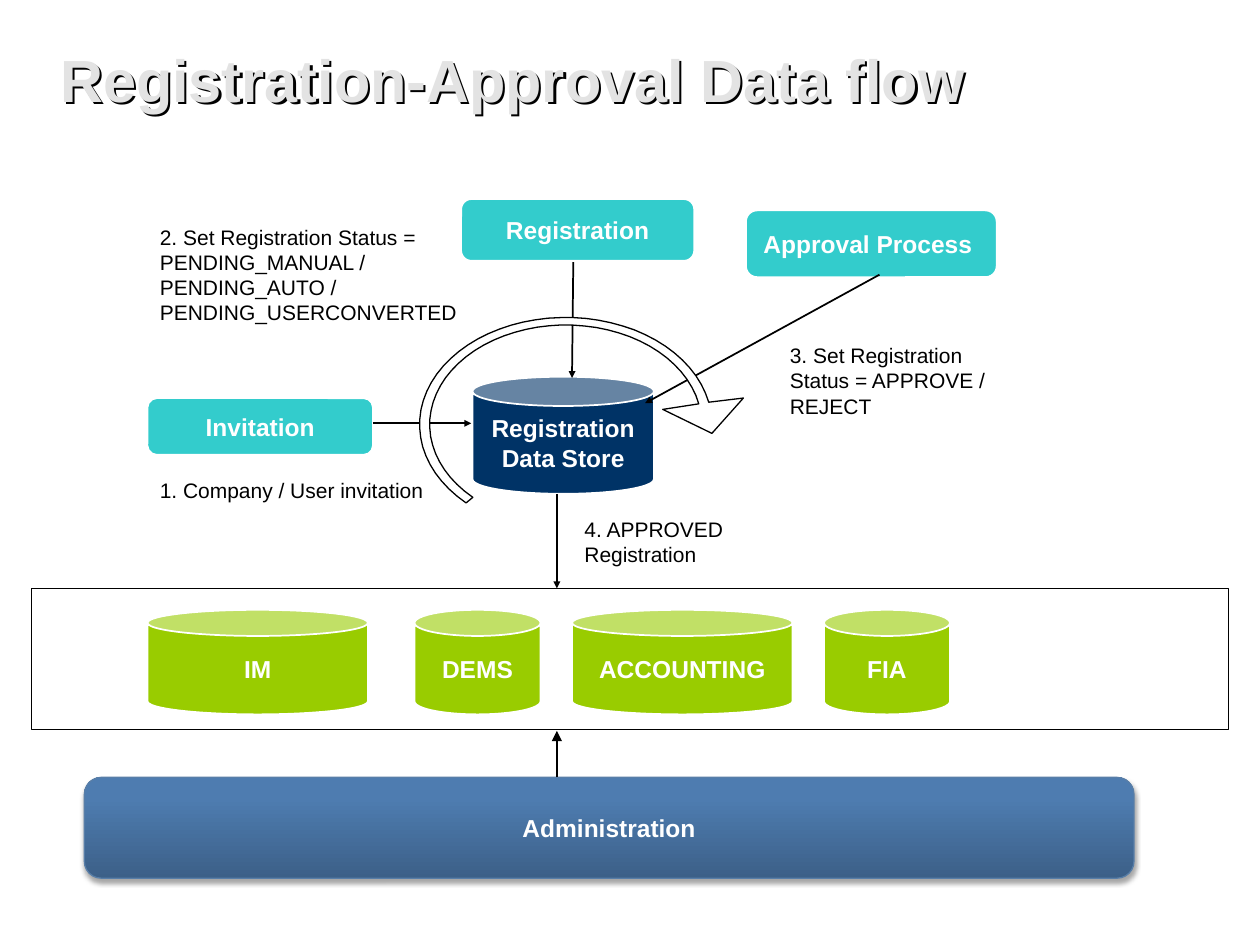
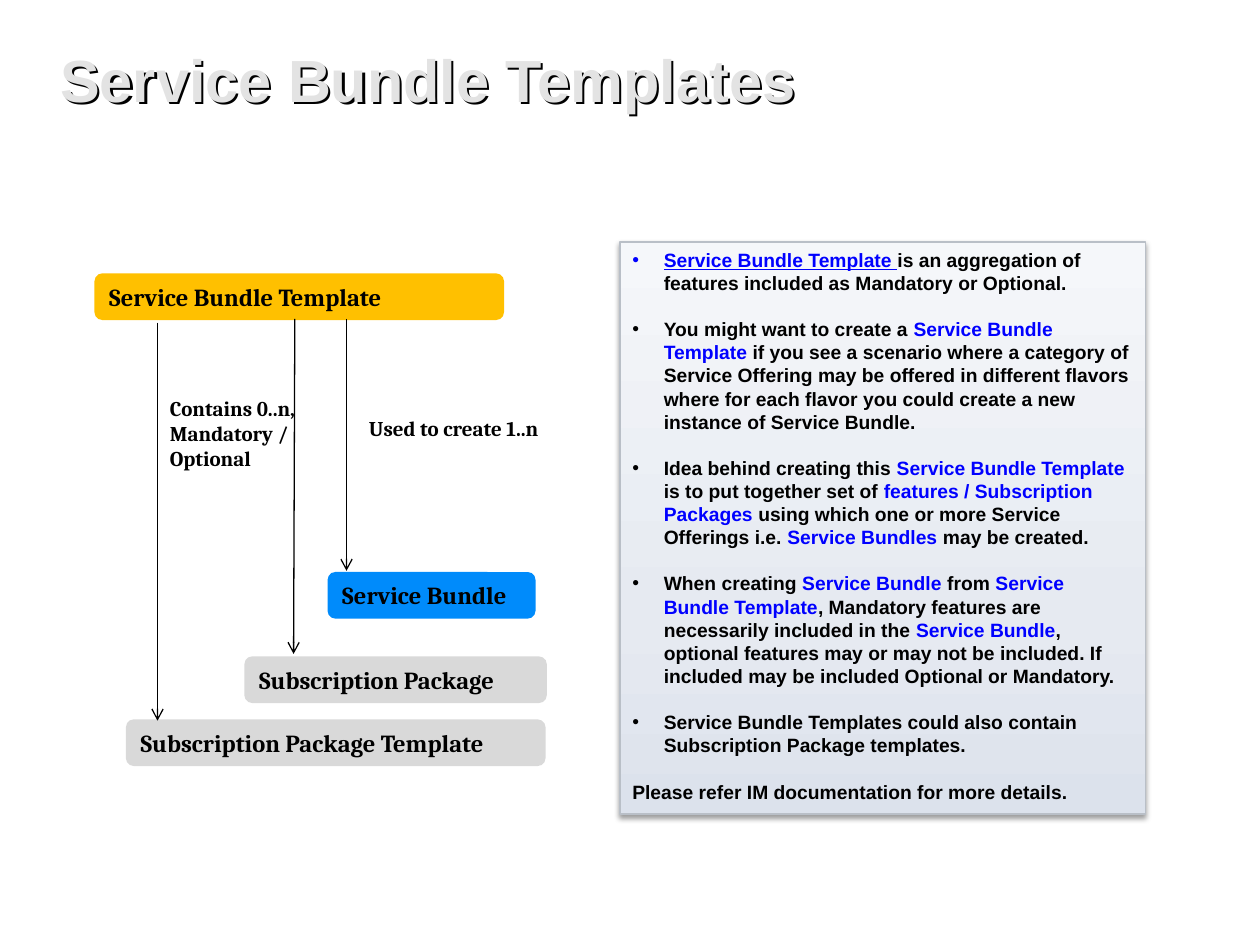
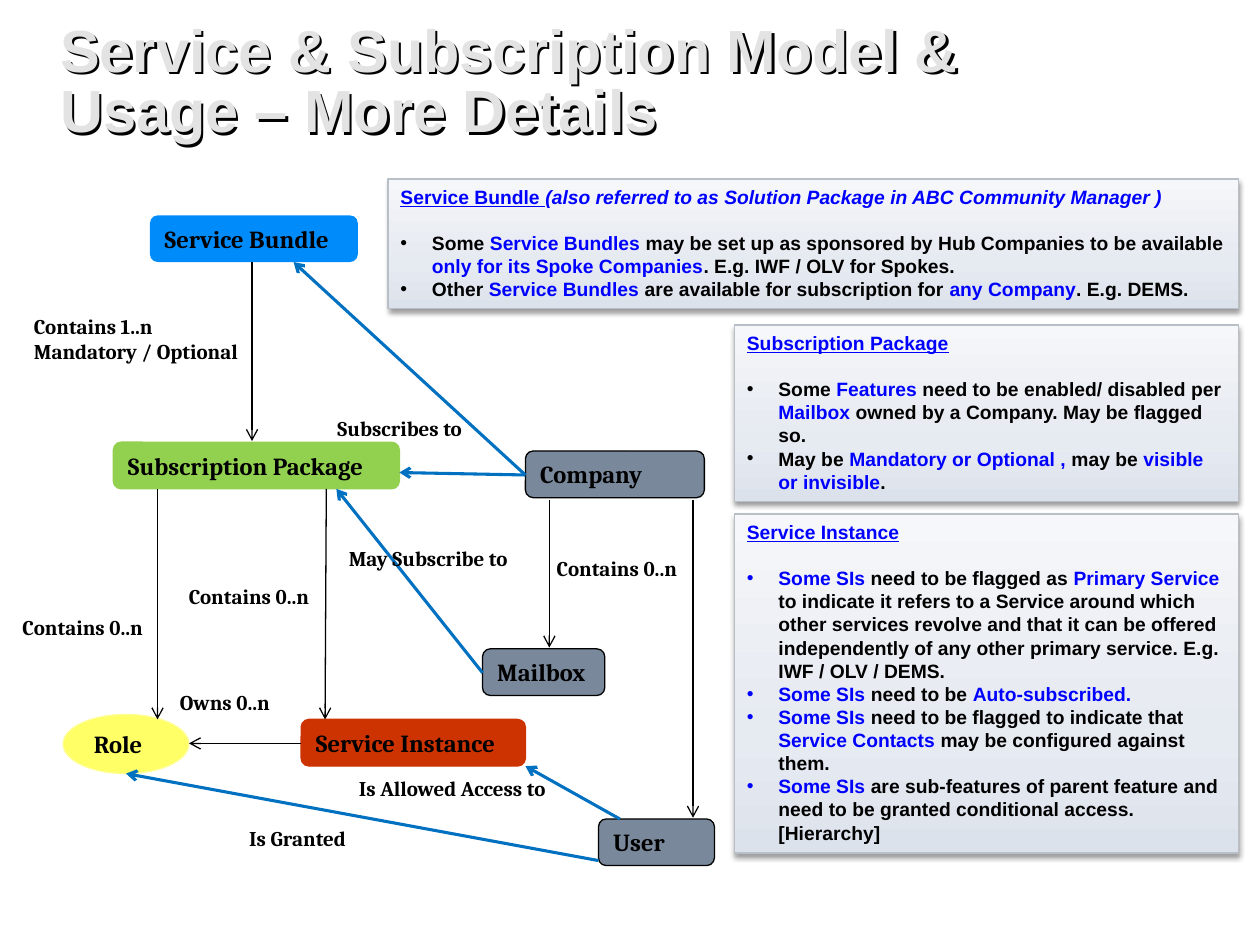
from copy import deepcopy
from math import cos, radians, sin

from lxml import etree
from pptx import Presentation
from pptx.dml.color import RGBColor
from pptx.enum.shapes import MSO_CONNECTOR, MSO_SHAPE
from pptx.enum.text import MSO_ANCHOR, PP_ALIGN
from pptx.oxml.ns import qn
from pptx.util import Inches, Pt

CAN = MSO_SHAPE.CAN
ROUNDED = MSO_SHAPE.ROUNDED_RECTANGLE
RECTANGLE = MSO_SHAPE.RECTANGLE
OVAL = MSO_SHAPE.OVAL
STRAIGHT = MSO_CONNECTOR.STRAIGHT
LEFT, CENTER = PP_ALIGN.LEFT, PP_ALIGN.CENTER
TOP, MIDDLE = MSO_ANCHOR.TOP, MSO_ANCHOR.MIDDLE

BLACK = RGBColor(0x00, 0x00, 0x00)
WHITE = RGBColor(0xFF, 0xFF, 0xFF)
TITLE_GRAY = RGBColor(0xE3, 0xE3, 0xE3)
NAVY = RGBColor(0x00, 0x33, 0x66)
TEAL = RGBColor(0x33, 0xCC, 0xCC)
LIME = RGBColor(0x99, 0xCC, 0x00)
SKY = RGBColor(0x00, 0x8B, 0xFB)
AMBER = RGBColor(0xFF, 0xC0, 0x00)
LIGHT_GRAY = RGBColor(0xD9, 0xD9, 0xD9)
GREEN = RGBColor(0x92, 0xD0, 0x50)
RED = RGBColor(0xCC, 0x33, 0x00)
YELLOW = RGBColor(0xFF, 0xFF, 0x66)
PALE_YELLOW = RGBColor(0xFF, 0xFF, 0x99)
SLATE = RGBColor(0x79, 0x88, 0x9B)
LINK_BLUE = RGBColor(0x00, 0x70, 0xC0)
TERM_BLUE = RGBColor(0x00, 0x00, 0xFF)
PANEL_EDGE = RGBColor(0xB9, 0xBF, 0xC7)
ADMIN_EDGE = RGBColor(0x58, 0x7E, 0xA8)
# Gradient stops run from the bottom edge to the top edge
PANEL_STOPS = [(0, RGBColor(0xDC, 0xE2, 0xEC)), (0.35, RGBColor(0xE6, 0xEA, 0xF1)),
               (1, RGBColor(0xF5, 0xF7, 0xFA))]
ADMIN_STOPS = [(0, RGBColor(0x3C, 0x60, 0x88)), (0.8, RGBColor(0x4E, 0x7C, 0xB0)),
               (1, RGBColor(0x4C, 0x7D, 0xB3))]

# Text styles: font, size, bold, colour, alignment, anchor
TITLE = ("Arial", 34, True, TITLE_GRAY, LEFT, MIDDLE)
NODE = ("Arial", 14, True, WHITE, CENTER, MIDDLE)
NOTE = ("Arial", 12, False, BLACK, LEFT, TOP)
CARD = ("Cambria", 14, True, BLACK, LEFT, TOP)
LABEL = ("Cambria", 12, True, BLACK, LEFT, TOP)
PANEL = ("Arial", 11, True, BLACK, LEFT, TOP)
CARD_HEIGHT = 0.37
BLANK_LINE = Pt(13.2)
UNITS_PER_INCH = 1000


def add_box(page, at, text, style, kind=None, fill=None, edge=None, edge_width=0.75):
    """Add a preset shape, or a plain text box when no kind is given."""
    place = [Inches(length) for length in at]
    if kind is None:
        box = page.shapes.add_textbox(*place)
    else:
        box = page.shapes.add_shape(kind, *place)
        box.shadow.inherit = False
        if fill is None:
            box.fill.background()
        else:
            box.fill.solid()
            box.fill.fore_color.rgb = fill
        if edge is None:
            box.line.fill.background()
        else:
            box.line.color.rgb = edge
            box.line.width = Pt(edge_width)
    font, size, bold, color, align, anchor = style
    frame = box.text_frame
    frame.word_wrap = True
    frame.vertical_anchor = anchor
    frame.text = text
    for para in frame.paragraphs:
        para.alignment = align
        for span in para.runs:
            span.font.name, span.font.size, span.font.bold = font, Pt(size), bold
            span.font.color.rgb = color
    return box


def add_arrow(page, ends, color=BLACK, width=0.75, head="arrow", head_size="med"):
    arrow = page.shapes.add_connector(STRAIGHT, *[Inches(length) for length in ends])
    arrow.line.color.rgb = color
    arrow.line.width = Pt(width)
    properties = arrow._element.spPr
    etree.SubElement(properties.find(qn("a:ln")), qn("a:tailEnd"),
                     type=head, w=head_size, len=head_size)
    etree.SubElement(properties, qn("a:effectLst"))


deck = Presentation()
deck.slide_width, deck.slide_height = Inches(10), Inches(7.5)
pages = []
for heading in ["Registration-Approval Data flow", "Service Bundle Templates",
                "Service & Subscription Model & Usage – More Details"]:
    page = deck.slides.add_slide(deck.slide_layouts[6])
    pages.append(page)
    box = add_box(page, (0.38, 0.17, 7.71, 1), heading, TITLE)
    box.text_frame.paragraphs[0].line_spacing = 0.85
    # An unfilled box casts its shadow from the letters
    box.shadow.inherit = False
    shadow = etree.SubElement(box._element.spPr.find(qn("a:effectLst")), qn("a:outerShdw"),
                              dist=str(Pt(1.8)), dir="2700000")
    etree.SubElement(shadow, qn("a:srgbClr"), val=str(BLACK))
flow, templates, model = pages

# Slide 1: registration data flow
add_box(flow, (3.75, 2.99, 1.44, 0.93), "Registration Data Store", NODE, CAN, NAVY, WHITE, 1)
for at, text in [
    ((3.66, 1.58, 1.85, 0.49), "Registration"),
    ((5.92, 1.67, 1.99, 0.53), "Approval Process "),
    ((1.17, 3.16, 1.79, 0.45), "Invitation"),
]:
    add_box(flow, at, text, NODE, ROUNDED, TEAL, WHITE, 1)
for ends in [(2.96, 3.36, 3.74, 3.36), (6.98, 2.18, 5.12, 3.2),
             (4.55, 2.08, 4.54, 3), (4.42, 3.92, 4.42, 4.67)]:
    add_arrow(flow, ends, width=1, head="triangle", head_size="sm")
for at, text in [
    ((1.17, 1.73, 2.62, 1.07), "2. Set Registration Status = PENDING_MANUAL /\n"
                               "PENDING_AUTO /\nPENDING_USERCONVERTED"),
    ((6.17, 2.67, 2.08, 0.68), "3. Set Registration Status = APPROVE / REJECT"),
    ((4.54, 4.05, 1.76, 0.62), "4. APPROVED Registration"),
    ((1.17, 3.74, 2.37, 0.56), "1. Company / User invitation"),
]:
    add_box(flow, at, text, NOTE)

# The curved arrow follows two concentric ellipses around the data store
outer, inner = [
    [(4.49 + across * cos(radians(angle)), 3.37 + down * sin(radians(angle)))
     for angle in range(133, 349, 5)]
    for across, down in [(1.16, 0.85), (1.08, 0.79)]
]
arrow_tip = [(5.9, 3.16), (5.65, 3.44), (5.26, 3.25)]
outline = [(x * UNITS_PER_INCH, y * UNITS_PER_INCH) for x, y in outer + arrow_tip + inner[::-1]]
builder = flow.shapes.build_freeform(*outline[0], scale=Inches(1) / UNITS_PER_INCH)
builder.add_line_segments(outline[1:], close=True)
curve = builder.convert_to_shape()
curve.shadow.inherit = False
curve.fill.solid()
curve.fill.fore_color.rgb = WHITE
curve.line.color.rgb = BLACK
curve.line.width = Pt(0.75)

add_box(flow, (0.25, 4.67, 9.5, 1.12), "", NODE, RECTANGLE, edge=BLACK)
for left, width, text in [(1.17, 1.75, "IM"), (3.29, 1, "DEMS"),
                          (4.54, 1.75, "ACCOUNTING"), (6.54, 1, "FIA")]:
    add_box(flow, (left, 4.84, width, 0.83), text, NODE, CAN, LIME, WHITE, 1)
admin = add_box(flow, (0.67, 6.17, 8.33, 0.8), "Administration", NODE, ROUNDED, edge=ADMIN_EDGE)
add_arrow(flow, (4.42, 6.17, 4.42, 5.8), head="triangle")

# Slides 2 and 3: cards, arrows and labels
for page, left, top, width, text, fill, edge in [
    (templates, 2.6, 4.54, 1.65, "Service Bundle", SKY, None),
    (templates, 0.75, 2.17, 3.25, "Service Bundle Template", AMBER, None),
    (templates, 1.94, 5.21, 2.4, "Subscription Package", LIGHT_GRAY, None),
    (templates, 1, 5.71, 3.33, "Subscription Package Template", LIGHT_GRAY, None),
    (model, 1.19, 1.71, 1.65, "Service Bundle", SKY, None),
    (model, 0.9, 3.51, 2.27, "Subscription Package", GREEN, GREEN),
    (model, 2.39, 5.71, 1.78, "Service Instance", RED, RED),
    (model, 4.17, 3.58, 1.42, "Company", SLATE, BLACK),
    (model, 4.75, 6.5, 0.92, "User", SLATE, BLACK),
    (model, 3.83, 5.15, 0.97, "Mailbox", SLATE, BLACK),
]:
    add_box(page, (left, top, width, CARD_HEIGHT), text, CARD, ROUNDED, fill, edge)
add_box(model, (0.5, 5.67, 1, 0.47), "Role", CARD, OVAL, YELLOW, PALE_YELLOW)

for page, ends in [
    (templates, (2.75, 2.53, 2.75, 4.53)),
    (templates, (2.34, 2.53, 2.33, 5.19)),
    (templates, (1.25, 2.56, 1.25, 5.72)),
    (model, (2, 2.08, 2, 3.5)),
    (model, (1.25, 3.88, 1.25, 5.71)),
    (model, (2.39, 5.9, 1.5, 5.9)),
    (model, (2.59, 3.88, 2.58, 5.71)),
    (model, (5.5, 3.97, 5.5, 6.49)),
    (model, (4.36, 3.97, 4.36, 5.14)),
]:
    add_arrow(page, ends)
for ends in [(4.17, 3.77, 3.17, 3.75), (4.92, 6.5, 4.17, 6.08), (4.75, 6.83, 1, 6.14),
             (3.83, 5.34, 2.67, 3.88), (4.17, 3.77, 2.33, 2.08)]:
    add_arrow(model, ends, LINK_BLUE, 1.75)

for page, at, text in [
    (templates, (2.83, 3.25, 1.75, 0.3), "Used to create 1..n"),
    (templates, (1.25, 3.09, 1.25, 0.91), "Contains 0..n, Mandatory / Optional"),
    (model, (0.17, 2.44, 1.92, 0.51), "Contains 1..n Mandatory / Optional"),
    (model, (0.08, 4.83, 1.25, 0.3), "Contains 0..n"),
    (model, (1.4, 4.58, 1.26, 0.3), "Contains 0..n"),
    (model, (4.32, 4.36, 1.26, 0.3), "Contains 0..n"),
    (model, (1.33, 5.42, 1.33, 0.3), "Owns 0..n"),
    (model, (2.58, 3.25, 1.32, 0.3), "Subscribes to"),
    (model, (2.75, 6.11, 1.86, 0.3), "Is Allowed Access to"),
    (model, (1.88, 6.5, 1.03, 0.3), "Is Granted"),
    (model, (2.67, 4.28, 1.6, 0.3), "May Subscribe to"),
]:
    add_box(page, at, text, LABEL)

# Panels: bars enclose blue terms; the numbers tell which paragraphs follow a gap
raised = [(admin, ADMIN_STOPS, 35)]
for page, at, gaps, lines in [
    (templates, (4.92, 1.92, 4.17, 4.54), range(1, 6), [
        "• |Service Bundle Template |is an aggregation of features included as Mandatory "
        "or Optional.",
        "• You might want to create a |Service Bundle Template |if you see a scenario where "
        "a category of Service Offering may be offered in different flavors where for each "
        "flavor you could create a new instance of Service Bundle.",
        "• Idea behind creating this |Service Bundle Template |is to put together set of "
        "|features / Subscription Packages| using which one or more Service Offerings i.e. "
        "|Service Bundles |may be created.",
        "• When creating |Service Bundle |from |Service Bundle Template|, Mandatory features "
        "are necessarily included in the |Service Bundle|, optional features may or may not "
        "be included. If included may be included Optional or Mandatory.",
        "• Service Bundle Templates could also contain Subscription Package templates.",
        "Please refer IM documentation for more details.",
    ]),
    (model, (5.83, 4.08, 4, 2.69), [1], [
        "|Service Instance|",
        "• |Some SIs| need to be flagged as |Primary Service| to indicate it refers to a "
        "Service around which other services revolve and that it can be offered "
        "independently of any other primary service. E.g. IWF / OLV / DEMS.",
        "• |Some SIs |need to be |Auto-subscribed.|",
        "• |Some SIs |need to be flagged to indicate that |Service Contacts |may be "
        "configured against them.",
        "• |Some SIs |are sub-features of parent feature and need to be granted conditional "
        "access. [Hierarchy]",
    ]),
    (model, (5.83, 2.58, 4, 1.4), [1], [
        "|Subscription Package|",
        "• Some| Features |need to be enabled/ disabled per |Mailbox| owned by a Company. "
        "May be flagged so.",
        "• May be |Mandatory or Optional , |may be |visible or invisible|.",
    ]),
    (model, (3.08, 1.42, 6.75, 1.03), [1], [
        "|Service Bundle ||(also referred to as Solution Package in ABC Community Manager )|",
        "• Some| Service Bundles |may be set up as sponsored by Hub Companies to be available "
        "|only for its Spoke Companies|. E.g. IWF / OLV for Spokes.",
        "• Other| Service Bundles |are available for subscription for |any Company|. "
        "E.g. DEMS.",
    ]),
]:
    panel = add_box(page, at, "", PANEL, RECTANGLE, edge=PANEL_EDGE)
    raised.append((panel, PANEL_STOPS, 38))
    frame = panel.text_frame
    for number, line in enumerate(lines):
        para = frame.add_paragraph() if number else frame.paragraphs[0]
        para.alignment = LEFT
        if number in gaps:
            para.space_before = BLANK_LINE
        if line.startswith("• "):
            settings = para._p.get_or_add_pPr()
            settings.set("marL", str(Inches(0.25)))
            settings.set("indent", str(Inches(-0.25)))
            etree.SubElement(settings, qn("a:buFont"), typeface="Arial")
            etree.SubElement(settings, qn("a:buChar"), char="•")
        for order, piece in enumerate(line.removeprefix("• ").split("|")):
            if piece:
                span = para.add_run()
                span.text = piece
                span.font.name, span.font.size, span.font.bold = "Arial", Pt(11), True
                span.font.color.rgb = TERM_BLUE if order % 2 else BLACK
                span.font.italic = piece.startswith("(also")
    frame.paragraphs[0].runs[0].font.underline = True

# Gradient and soft shadow of the raised shapes
for shape, stops, opacity in raised:
    shape.fill.gradient()
    shape.fill.gradient_angle = 90
    properties = shape._element.spPr
    stop_list = properties.find(qn("a:gradFill")).find(qn("a:gsLst"))
    stop_list.insert(1, deepcopy(stop_list[0]))
    for stop, (position, color) in zip(shape.fill.gradient_stops, stops):
        stop.position = position
        stop.color.rgb = color
    shadow = etree.SubElement(properties.find(qn("a:effectLst")), qn("a:outerShdw"),
                              blurRad=str(Pt(3.1)), dist=str(Pt(1.8)), dir="5400000",
                              rotWithShape="0")
    shade = etree.SubElement(shadow, qn("a:srgbClr"), val=str(BLACK))
    etree.SubElement(shade, qn("a:alpha"), val=str(opacity * 1000))

deck.save("out.pptx")
